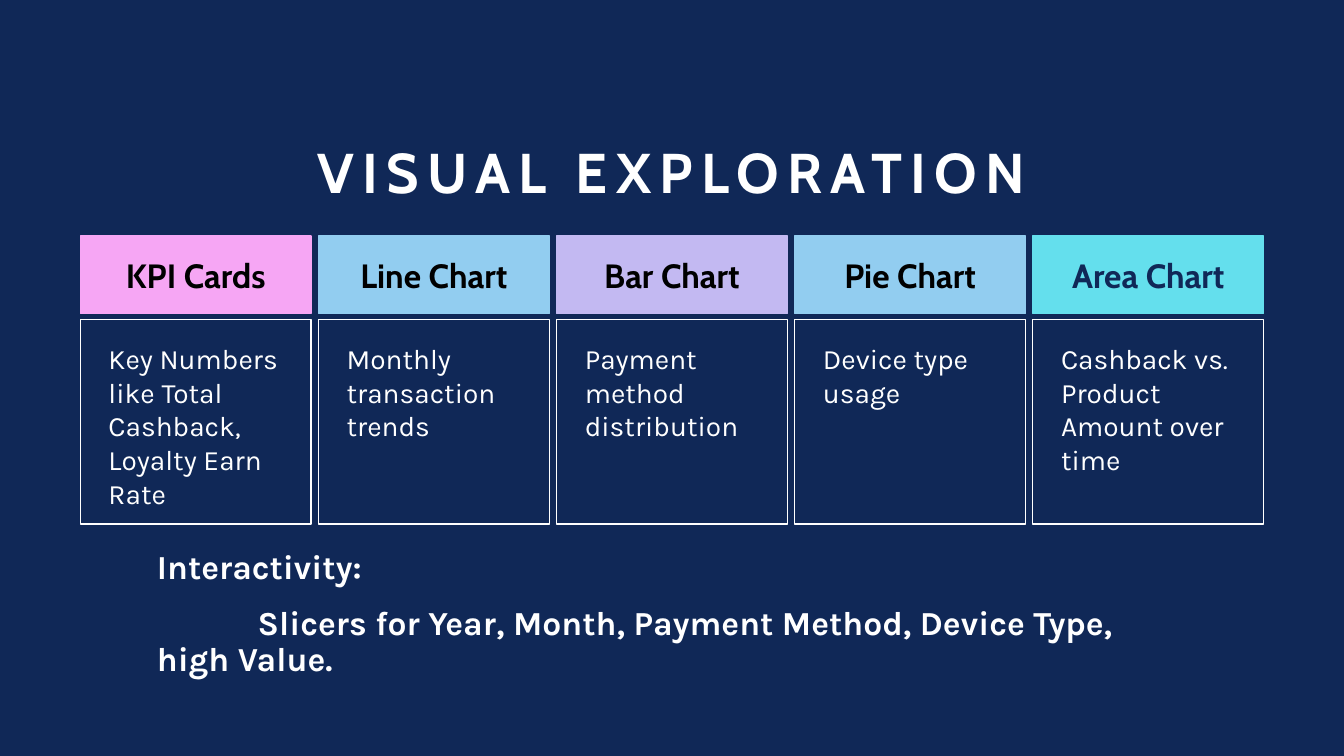
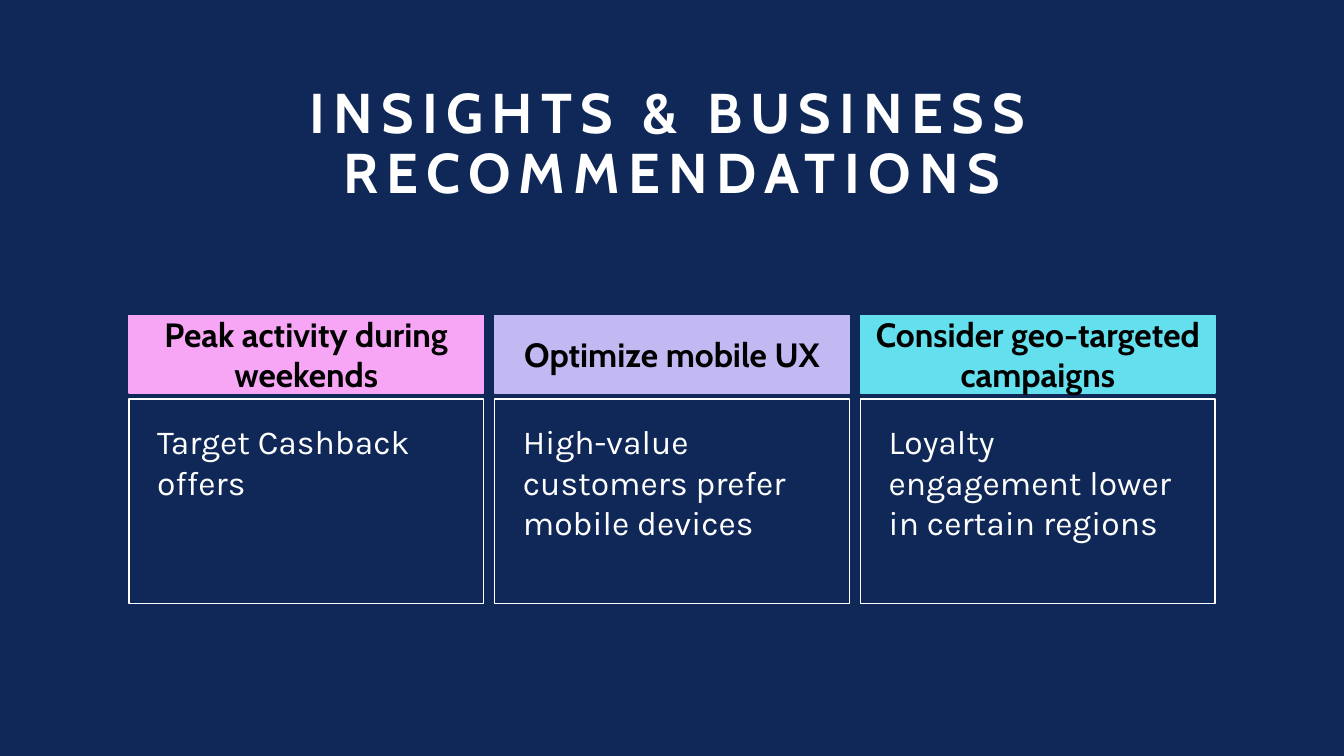
from typing import NamedTuple

from pptx import Presentation
from pptx.dml.color import RGBColor
from pptx.enum.shapes import MSO_SHAPE
from pptx.enum.text import MSO_ANCHOR, PP_ALIGN
from pptx.util import Pt

NAVY = RGBColor(0x10, 0x28, 0x57)
WHITE = RGBColor(0xFF, 0xFF, 0xFF)
BLACK = RGBColor(0x00, 0x00, 0x00)
PINK = RGBColor(0xF6, 0xA6, 0xF4)
BLUE = RGBColor(0x92, 0xCD, 0xF0)
LILAC = RGBColor(0xC3, 0xB9, 0xF2)
CYAN = RGBColor(0x64, 0xDF, 0xED)

HEAD_FONT, BODY_FONT = "Cabin", "Karla"
WIDTH, HEIGHT = 960, 540
HEAD_H, BODY_H, ROW_GAP = 55.5, 146, 4.3


class Card(NamedTuple):
    head: str
    body: str
    fill: RGBColor
    ink: RGBColor = BLACK


class Grid(NamedTuple):
    top: float
    width: float
    gap: float
    size: int


VISUALS = [
    Card("KPI Cards", "Key Numbers like Total Cashback, Loyalty Earn Rate", PINK),
    Card("Line Chart", "Monthly transaction trends", BLUE),
    Card("Bar Chart", "Payment method distribution", LILAC),
    Card("Pie Chart", "Device type usage", BLUE),
    Card("Area Chart", "Cashback vs. Product Amount over time", CYAN, NAVY),
]
INSIGHTS = [
    Card("Peak activity during weekends", "Target Cashback offers", PINK),
    Card("Optimize mobile UX", "High-value customers prefer mobile devices", LILAC),
    Card("Consider geo-targeted campaigns",
         "Loyalty engagement lower in certain regions", CYAN),
]


def set_font(para, name: str, size: float, color: RGBColor, bold: bool = False) -> None:
    font = para.font
    font.name, font.size, font.bold = name, Pt(size), bold
    font.color.rgb = color


def set_theme(deck) -> None:
    """Give the master its background and the title layout its place."""
    fill = deck.slide_master.background.fill
    fill.solid()
    fill.fore_color.rgb = NAVY
    title = deck.slide_layouts[5].placeholders[0]
    title.left, title.top = Pt(94), Pt(66)
    title.width, title.height = Pt(772), Pt(84.5)


def add_slide(deck, text: str):
    slide = deck.slides.add_slide(deck.slide_layouts[5])
    frame = slide.shapes.title.text_frame
    frame.text = text
    frame.vertical_anchor = MSO_ANCHOR.BOTTOM
    para = frame.paragraphs[0]
    para.alignment = PP_ALIGN.CENTER
    para.line_spacing = 0.9
    set_font(para, HEAD_FONT, 40, WHITE, True)
    para.runs[0].font._element.set("spc", "600")
    return slide


def add_box(slide, left: float, top: float, width: float, height: float,
            text: str, line: RGBColor):
    box = slide.shapes.add_shape(
        MSO_SHAPE.RECTANGLE, Pt(left), Pt(top), Pt(width), Pt(height))
    box.shadow.inherit = False
    box.fill.background()
    box.line.color.rgb = line
    box.line.width = Pt(1)
    box.text_frame.word_wrap = True
    box.text_frame.text = text
    return box


def add_card(slide, card: Card, left: float, grid: Grid) -> None:
    head = add_box(slide, left, grid.top, grid.width, HEAD_H, card.head, card.fill)
    head.fill.solid()
    head.fill.fore_color.rgb = card.fill
    para = head.text_frame.paragraphs[0]
    para.alignment = PP_ALIGN.CENTER
    set_font(para, HEAD_FONT, 24, card.ink, True)

    top = grid.top + HEAD_H + ROW_GAP
    body = add_box(slide, left, top, grid.width, BODY_H, card.body, WHITE)
    frame = body.text_frame
    frame.vertical_anchor = MSO_ANCHOR.TOP
    frame.margin_left, frame.margin_right = Pt(20.2), Pt(21.6)
    frame.margin_top = Pt(15.8)
    para = frame.paragraphs[0]
    para.alignment = PP_ALIGN.LEFT
    set_font(para, BODY_FONT, grid.size, WHITE)


def add_cards(slide, cards: list[Card], grid: Grid) -> None:
    """Draw the cards as one row centred on the slide."""
    pitch = grid.width + grid.gap
    start = (WIDTH - pitch * len(cards) + grid.gap) / 2
    for i, card in enumerate(cards):
        add_card(slide, card, start + i * pitch, grid)


def add_note(slide, head: str, text: str) -> None:
    """Add a bold heading and a paragraph whose first line is indented."""
    box = slide.shapes.add_textbox(Pt(105), Pt(389.5), Pt(742), Pt(84))
    frame = box.text_frame
    frame.word_wrap = True
    frame.text = f"{head}\n{text}"
    for para in frame.paragraphs:
        para.line_spacing = 0.9
        set_font(para, BODY_FONT, 24, WHITE, True)
    last = frame.paragraphs[1]
    last.space_before = Pt(14)
    last._p.get_or_add_pPr().set("indent", str(Pt(72)))


def main() -> None:
    deck = Presentation()
    deck.slide_width, deck.slide_height = Pt(WIDTH), Pt(HEIGHT)
    set_theme(deck)

    slide = add_slide(deck, "VISUAL EXPLORATION")
    add_cards(slide, VISUALS, Grid(top=168.5, width=165, gap=5.1, size=20))
    add_note(slide, "Interactivity:",
             "Slicers for Year, Month, Payment Method, Device Type, high Value.")

    slide = add_slide(deck, "INSIGHTS & BUSINESS RECOMMENDATIONS")
    add_cards(slide, INSIGHTS, Grid(top=225.3, width=253.4, gap=7.9, size=24))

    deck.save("out.pptx")


if __name__ == "__main__":
    main()
